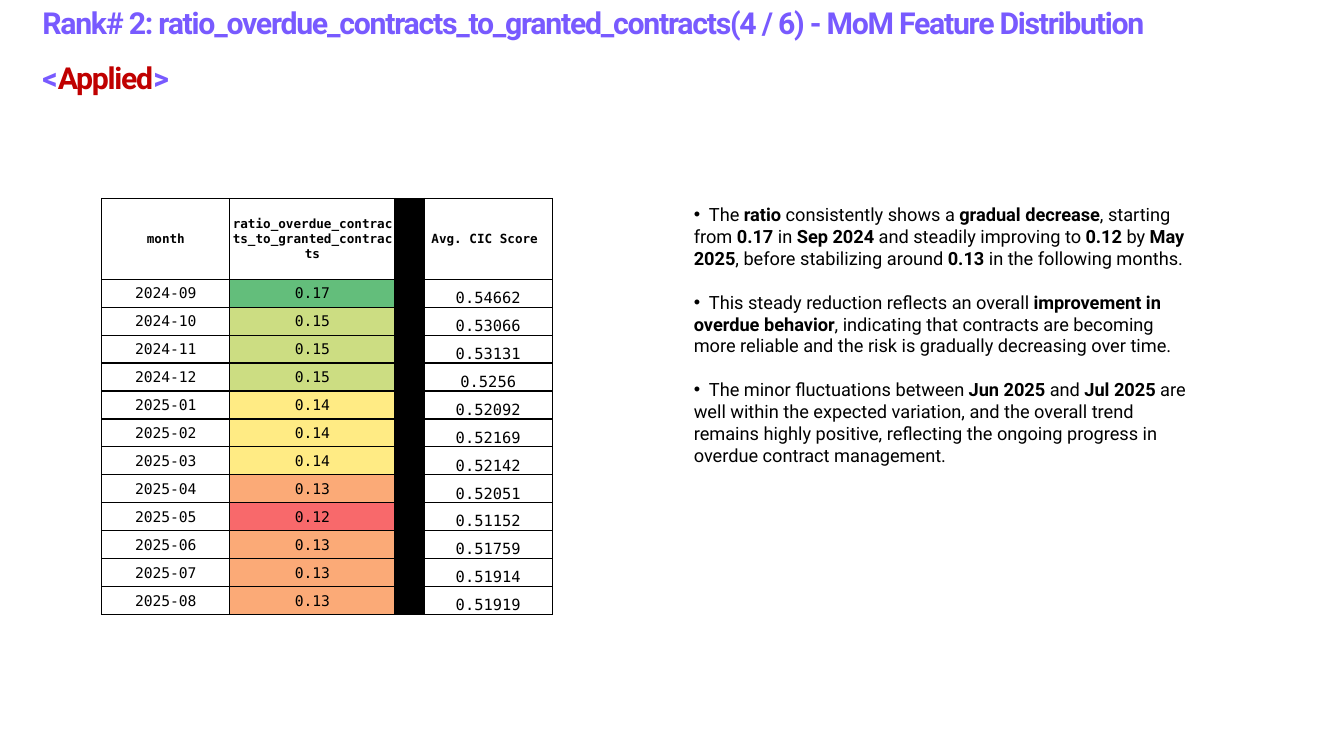
from lxml.etree import SubElement
from pptx import Presentation
from pptx.dml.color import RGBColor
from pptx.enum.text import MSO_ANCHOR as Anchor, MSO_AUTO_SIZE as AutoSize, PP_ALIGN as Align
from pptx.oxml.ns import qn
from pptx.util import Inches, Pt

COLORS = {"violet": "785AFF", "crimson": "C00000", "black": "000000"}
RATIO_FILLS = {"0.17": "63BE7B", "0.15": "CCDD82", "0.14": "FFEB84",
               "0.13": "FBAA77", "0.12": "F8696B"}

TITLE = [
    ("Rank# 2: ratio_overdue_contracts_to_granted_contracts(4 / 6)"
     " - MoM Feature Distribution <", "violet"),
    ("Applied", "crimson"),
    (">", "violet"),
]

# Bold words stand between double asterisks
FINDINGS = [
    "The **ratio** consistently shows a **gradual decrease**, starting from **0.17** in "
    "**Sep 2024** and steadily improving to **0.12** by **May 2025**, before stabilizing "
    "around **0.13** in the following months.",
    "This steady reduction reflects an overall **improvement in overdue behavior**, "
    "indicating that contracts are becoming more reliable and the risk is gradually "
    "decreasing over time.",
    "The minor fluctuations between **Jun 2025** and **Jul 2025** are well within the "
    "expected variation, and the overall trend remains highly positive, reflecting the "
    "ongoing progress in overdue contract management.",
]

HEADER = ("month", "ratio_overdue_contracts_to_granted_contracts", "", "Avg. CIC Score ")
MONTHS = [
    ("2024-09", "0.17", "0.54662"), ("2024-10", "0.15", "0.53066"),
    ("2024-11", "0.15", "0.53131"), ("2024-12", "0.15", "0.5256"),
    ("2025-01", "0.14", "0.52092"), ("2025-02", "0.14", "0.52169"),
    ("2025-03", "0.14", "0.52142"), ("2025-04", "0.13", "0.52051"),
    ("2025-05", "0.12", "0.51152"), ("2025-06", "0.13", "0.51759"),
    ("2025-07", "0.13", "0.51914"), ("2025-08", "0.13", "0.51919"),
]


class Page:
    """Style and slide, laid out on a grid of 40 columns by 30 rows."""
    text_font, table_font = "Roboto", "DejaVu Sans Mono"

    def __init__(self, deck):
        self.slide = deck.slides.add_slide(deck.slide_layouts[1])
        self.column, self.row = deck.slide_width / 40, deck.slide_height / 30

    def across(self, columns):
        return round(columns * self.column)

    def down(self, rows):
        return round(rows * self.row)

    def place(self, box, left, top, width, height):
        box.left, box.top = self.across(left), self.down(top)
        box.width, box.height = self.across(width), self.down(height)
        box.text_frame.auto_size = AutoSize.NONE
        box.text_frame.word_wrap = True
        return box.text_frame

    def style(self, span, size, color, bold=False, font=text_font):
        span.font.name, span.font.size, span.font.bold = font, Pt(size), bold
        span.font.color.rgb = RGBColor.from_string(COLORS[color])

    def title(self, parts, *area):
        frame = self.place(self.slide.shapes.title, *area)
        frame.vertical_anchor = Anchor.MIDDLE
        para = frame.paragraphs[0]
        para.alignment, para.line_spacing = Align.LEFT, 1.5
        for text, color in parts:
            span = para.add_run()
            span.text = text
            self.style(span, 21.6, color, bold=True)
            span.font._element.set("spc", "-90")

    def bullets(self, items, *area):
        frame = self.place(self.slide.placeholders[1], *area)
        frame.vertical_anchor = Anchor.TOP
        for index, item in enumerate(items):
            para = frame.add_paragraph() if index else frame.paragraphs[0]
            para.alignment = Align.LEFT
            para.space_before = Pt(15.6 if index else 0)
            properties = para._p.get_or_add_pPr()
            properties.set("marL", "0")
            properties.set("indent", "0")
            SubElement(properties, qn("a:buChar"), char="•")
            tabs = SubElement(properties, qn("a:tabLst"))
            SubElement(tabs, qn("a:tab"), pos=str(Inches(0.15)), algn="l")
            for position, text in enumerate(("\t" + item).split("**")):
                span = para.add_run()
                span.text = text
                self.style(span, 13, "black", bold=position % 2 == 1)

    def cell(self, cell, text, size, bold, fill, anchor):
        cell.margin_left = cell.margin_right = cell.margin_top = Inches(0.01)
        cell.margin_bottom = 0
        cell.vertical_anchor = anchor
        # Borders come before the fill
        for side in ("lnL", "lnR", "lnT", "lnB"):
            line = SubElement(cell._tc.get_or_add_tcPr(), qn(f"a:{side}"), w=str(Pt(1)))
            paint = SubElement(line, qn("a:solidFill"))
            SubElement(paint, qn("a:srgbClr"), val=COLORS["black"])
        if fill:
            cell.fill.solid()
            cell.fill.fore_color.rgb = RGBColor.from_string(fill)
        else:
            cell.fill.background()
        para = cell.text_frame.paragraphs[0]
        para.alignment = Align.CENTER
        if text:
            para.text = text
            self.style(para.runs[0], size, "black", bold, self.table_font)
        else:
            SubElement(para._p, qn("a:endParaRPr"), sz=str(size * 100))

    def table(self, header, months, left, top, widths, header_height, row_height):
        height = header_height + row_height * len(months)
        table = self.slide.shapes.add_table(
            len(months) + 1, len(widths), self.across(left), self.down(top),
            self.across(sum(widths)), self.down(height)).table
        table.first_row = table.horz_banding = False
        for column, width in zip(table.columns, widths):
            column.width = self.across(width)
        for index, row in enumerate(table.rows):
            row.height = self.down(row_height if index else header_height)
        # Header, then one row per month; the third column is a black divider
        for index, text in enumerate(header):
            fill = None if text else COLORS["black"]
            self.cell(table.cell(0, index), text, 9, True, fill, Anchor.MIDDLE)
        for index, (month, ratio, score) in enumerate(months, 1):
            for column, (text, size, fill, anchor) in enumerate([
                    (month, 10.5, None, Anchor.MIDDLE),
                    (ratio, 10.5, RATIO_FILLS[ratio], Anchor.MIDDLE),
                    ("", 9, COLORS["black"], Anchor.MIDDLE),
                    (score, 11, None, Anchor.BOTTOM)]):
                self.cell(table.cell(index, column), text, size, False, fill, anchor)


def main():
    deck = Presentation()
    deck.slide_width, deck.slide_height = Inches(13.33), Inches(7.5)
    page = Page(deck)
    page.title(TITLE, 0.96, 0, 36.19, 3.24)
    page.bullets(FINDINGS, 20.35, 7.88, 15.51, 11.8)
    page.table(HEADER, MONTHS, 3.03, 7.88, (3.81, 4.92, 0.87, 3.81), 3.2, 1.11)
    deck.save("out.pptx")


if __name__ == "__main__":
    main()
